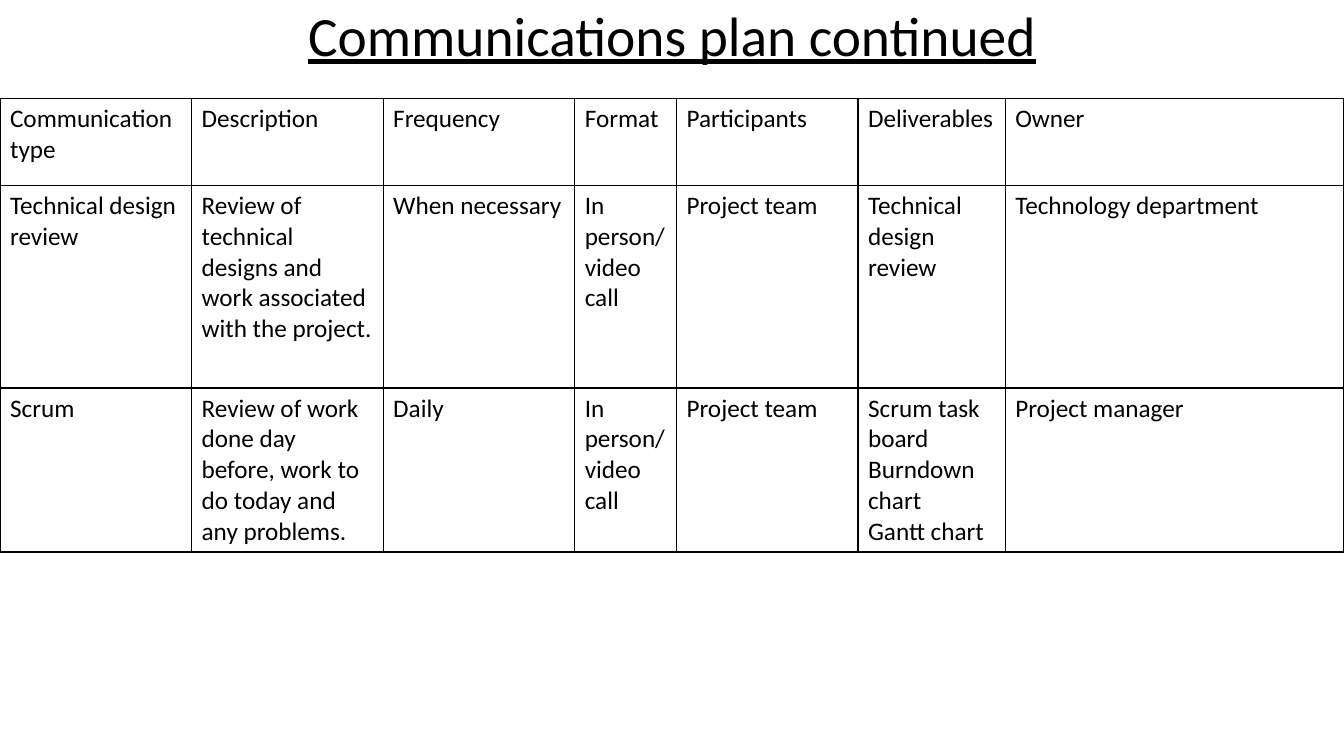
from dataclasses import dataclass

from lxml.etree import SubElement
from pptx import Presentation
from pptx.dml.color import RGBColor
from pptx.enum.text import MSO_ANCHOR as Anchor, MSO_AUTO_SIZE as AutoSize, PP_ALIGN as Align
from pptx.oxml.ns import qn
from pptx.slide import Slide
from pptx.table import _Cell as Cell
from pptx.text.text import _Paragraph as Paragraph
from pptx.util import Inches, Pt

COLORS = {"ink": "000000", "paper": "FFFFFF"}
FONT = "Calibri"
SLIDE_WIDTH = 13.33
HEADINGS = ("Communication type", "Description", "Frequency", "Format",
            "Participants", "Deliverables", "Owner")
COLUMN_WIDTHS = (1.9, 1.9, 1.9, 1.01, 1.8, 1.46, 3.36)
ROW_HEIGHTS = (0.86, 2.01, 1.35)


@dataclass(frozen=True)
class Communication:
    kind: str
    description: str
    frequency: str
    deliverables: tuple[str, ...]
    owner: str
    meeting_format: str = "In person/video call"
    participants: str = "Project team"

    def row(self) -> tuple[str, ...]:
        return (self.kind, self.description, self.frequency, self.meeting_format,
                self.participants, "\n".join(self.deliverables), self.owner)


COMMUNICATIONS = (
    Communication(
        "Technical design review",
        "Review of technical designs and work associated with the project.",
        "When necessary", ("Technical design review",), "Technology department"),
    Communication(
        "Scrum",
        "Review of work done day before, work to do today and any problems.",
        "Daily", ("Scrum task board", "Burndown chart", "Gantt chart"), "Project manager"),
)


def add_run(paragraph: Paragraph, text: str, size: float, underline: bool = False) -> None:
    run = paragraph.add_run()
    run.text = text
    run.font.name = FONT
    run.font.size = Pt(size)
    run.font.bold = False
    run.font.underline = underline
    run.font.color.rgb = RGBColor.from_string(COLORS["ink"])


def add_borders(cell: Cell) -> None:
    properties = cell._tc.get_or_add_tcPr()
    for side in ("L", "R", "T", "B"):
        line = SubElement(properties, qn(f"a:ln{side}"), w=str(Pt(1)))
        fill = SubElement(line, qn("a:solidFill"))
        SubElement(fill, qn("a:srgbClr"), val=COLORS["ink"])


def fill_cell(cell: Cell, text: str) -> None:
    add_borders(cell)
    cell.fill.background()
    frame = cell.text_frame
    for index, line in enumerate(text.split("\n")):
        paragraph = frame.add_paragraph() if index else frame.paragraphs[0]
        add_run(paragraph, line, 18)


def add_title(slide: Slide, text: str) -> None:
    title = slide.shapes.title
    title.left, title.top = Inches(0), Inches(0.02)
    title.width, title.height = Inches(SLIDE_WIDTH), Inches(0.72)
    frame = title.text_frame
    frame.auto_size = AutoSize.NONE
    frame.vertical_anchor = Anchor.MIDDLE
    paragraph = frame.paragraphs[0]
    paragraph.alignment = Align.CENTER
    paragraph.line_spacing = 0.9
    add_run(paragraph, text, 39.6, underline=True)


def add_plan(slide: Slide) -> None:
    rows = (HEADINGS, *(communication.row() for communication in COMMUNICATIONS))
    table = slide.shapes.add_table(
        len(rows), len(HEADINGS), Inches(0), Inches(0.98),
        Inches(SLIDE_WIDTH), Inches(sum(ROW_HEIGHTS))).table
    table.first_row = table.horz_banding = False
    for column, width in zip(table.columns, COLUMN_WIDTHS):
        column.width = Inches(width)
    for table_row, height, texts in zip(table.rows, ROW_HEIGHTS, rows):
        table_row.height = Inches(height)
        for cell, text in zip(table_row.cells, texts):
            fill_cell(cell, text)


def main() -> None:
    """Build the communications plan slide."""
    presentation = Presentation()
    presentation.slide_width = Inches(SLIDE_WIDTH)
    presentation.slide_height = Inches(7.5)
    slide = presentation.slides.add_slide(presentation.slide_layouts[5])
    background = slide.background.fill
    background.solid()
    background.fore_color.rgb = RGBColor.from_string(COLORS["paper"])
    add_title(slide, "Communications plan continued")
    add_plan(slide)
    presentation.save("out.pptx")


if __name__ == "__main__":
    main()
